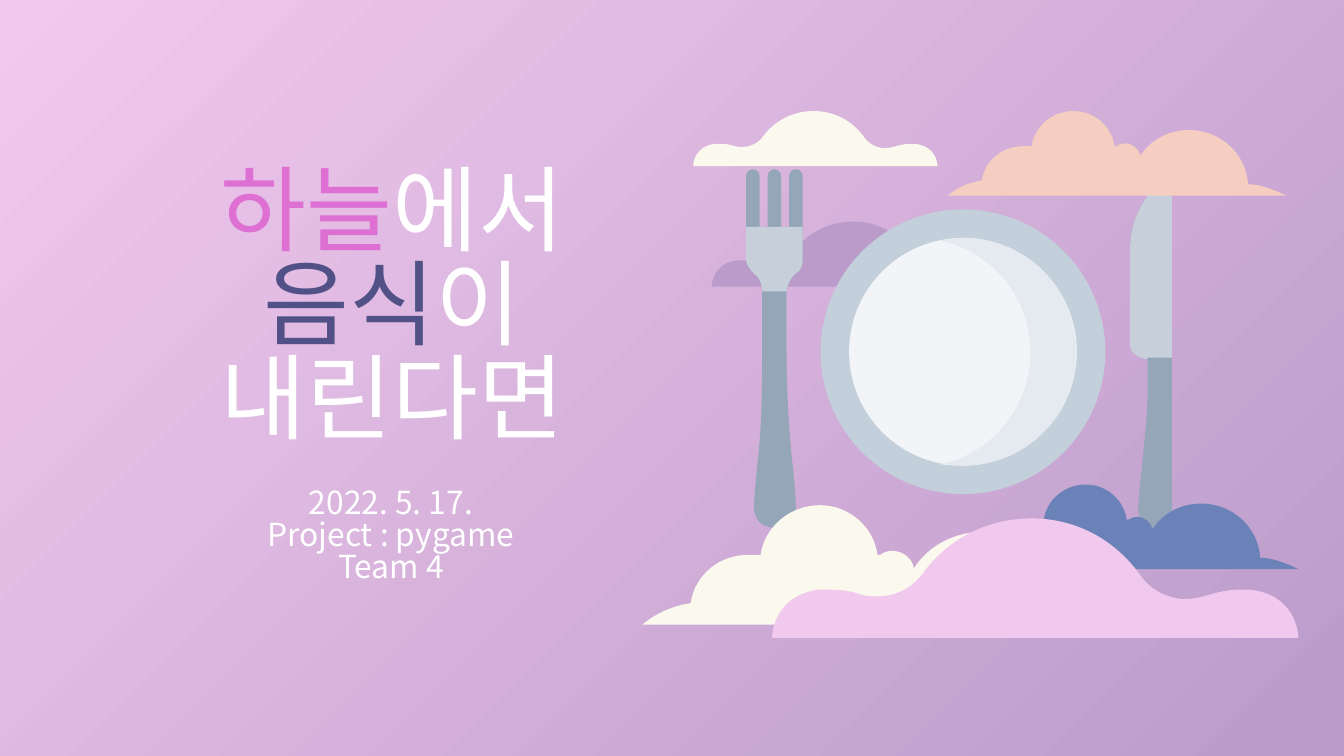
from dataclasses import dataclass
from lxml.etree import SubElement
from pptx import Presentation
from pptx.dml.color import RGBColor
from pptx.enum.shapes import MSO_SHAPE
from pptx.enum.text import MSO_ANCHOR, PP_ALIGN
from pptx.oxml.ns import qn
from pptx.util import Cm, Pt


@dataclass(frozen=True)
class Theme:
    font: str = "Noto Sans CJK KR"
    title_size: int = 50
    subtitle_size: int = 17
    line_spacing: float = 0.84
    white: str = "FFFFFF"
    magenta: str = "DD70D2"
    indigo: str = "515187"
    pink: str = "F2C9EE"
    mauve: str = "BA9BC9"
    cream: str = "FBF9ED"
    blue: str = "6B82B8"
    peach: str = "F5CEC1"
    steel: str = "95A6B8"
    silver: str = "C7D0DA"
    rim: str = "C3CFDA"
    plate: str = "F2F4F7"
    shade: str = "E4EAEF"


THEME = Theme()

# Outlines: (width, height), then a start point, lines (x, y)
# and curves (two control points and an end point)
DOME_CLOUD = ((391, 89), [
    (193, 0), (159, 0, 130, 16, 112, 41), (104, 52, 92, 58, 79, 58),
    (75, 58, 71, 58, 67, 57), (59, 54, 51, 53, 42, 53), (40, 53, 38, 53, 36, 53),
    (13, 55, 1, 71, 0, 89), (391, 89), (390, 71, 378, 55, 354, 53),
    (353, 53, 351, 53, 349, 53), (339, 53, 330, 55, 321, 58),
    (317, 59, 312, 60, 307, 60), (295, 60, 282, 54, 274, 43),
    (256, 17, 227, 0, 193, 0)])
LUMPY_CLOUD = ((355, 89), [
    (132, 0), (110, 0, 91, 16, 88, 37), (85, 37, 82, 37, 79, 37),
    (57, 37, 39, 52, 36, 73), (14, 76, 0, 89, 0, 89), (355, 89),
    (337, 80, 324, 77, 315, 77), (313, 45, 286, 20, 253, 20),
    (232, 20, 213, 30, 202, 47), (201, 40, 194, 34, 186, 34),
    (183, 34, 179, 35, 177, 37), (175, 37), (172, 16, 154, 0, 132, 0)])
FORK_LEFT = [(0, 0), (0, 24), (0, 28, 3, 32, 6, 35), (10, 37, 12, 44, 12, 48)]
FORK_RIGHT = [(30, 48), (31, 43, 33, 37, 38, 34), (41, 32, 42, 28, 42, 24), (42, 0)]
FORK_HEAD = ((42, 48), FORK_LEFT + FORK_RIGHT)
FORK_BODY = ((42, 225), FORK_LEFT + [
    (12, 84), (12, 113, 12, 143, 9, 172), (7, 189, 6, 205, 6, 208),
    (5, 217, 12, 224, 21, 224), (30, 224, 37, 217, 37, 208),
    (37, 205, 36, 189, 34, 172), (31, 143, 30, 113, 30, 84)] + FORK_RIGHT)
KNIFE_BACK = [(31, 0), (12, 12, 0, 33, 0, 55), (0, 129), (0, 133, 7, 138, 12, 138),
              (13, 138, 13, 138, 13, 137)]
KNIFE_BLADE = ((31, 137), KNIFE_BACK + [(31, 137)])
KNIFE_BODY = ((31, 265), KNIFE_BACK + [
    (13, 160), (13, 188, 6, 238, 6, 248), (6, 260, 11, 265, 18, 265),
    (26, 265, 31, 260, 31, 248)])
PLATE_SHADE = ((106, 169), [
    (17, 0), (11, 0, 5, 1, 0, 2), (39, 10, 67, 45, 67, 85),
    (67, 125, 39, 160, 0, 168), (5, 169, 11, 169, 17, 169),
    (64, 169, 101, 131, 101, 85), (101, 38, 64, 0, 17, 0)])


def paint(shape, color):
    shape.shadow.inherit = False
    shape.fill.solid()
    shape.fill.fore_color.rgb = RGBColor.from_string(color)
    shape.line.fill.background()


def add_outline(shapes, figure, box, color):
    """Scale an outline into a box given in centimetres."""
    (width, height), outline = figure
    left, top, box_width, box_height = box

    def place(x, y):
        return Cm(left + x * box_width / width), Cm(top + y * box_height / height)

    # Each segment holds the placed control points, if any, and its end point
    segments = [[place(*segment[i:i + 2]) for i in range(0, len(segment), 2)]
                for segment in outline]
    builder = shapes.build_freeform(*segments[0][0], scale=1.0)
    builder.add_line_segments([segment[-1] for segment in segments[1:]], close=True)
    shape = builder.convert_to_shape()

    # Bend the segments that have control points
    for line, segment in zip(shape.element.xpath(".//a:lnTo"), segments[1:]):
        if len(segment) == 1:
            continue
        curve = line.makeelement(qn("a:cubicBezTo"))
        for x, y in segment:
            SubElement(curve, qn("a:pt"), x=str(x - shape.left), y=str(y - shape.top))
        line.getparent().replace(line, curve)
    paint(shape, color)


def add_preset(shapes, kind, box, color):
    shape = shapes.add_shape(kind, *map(Cm, box))
    paint(shape, color)
    return shape


def add_fork(shapes, box):
    left, top, width, height = box
    tine_width, tine_height = 0.24 * width, 0.18 * height
    for column in range(3):
        tine = (left + column * (width - tine_width) / 2, top, tine_width, tine_height)
        add_preset(shapes, MSO_SHAPE.ROUNDED_RECTANGLE, tine, THEME.steel).adjustments[0] = 0.5
    body_top, body_height = top + 0.16 * height, 0.84 * height
    add_outline(shapes, FORK_BODY, (left, body_top, width, body_height), THEME.steel)
    add_outline(shapes, FORK_HEAD, (left, body_top, width, body_height * 48 / 225), THEME.silver)


def add_plate(shapes, box):
    left, top, size, _ = box
    inset = size / 10
    inner = size - 2 * inset
    add_preset(shapes, MSO_SHAPE.OVAL, box, THEME.rim)
    add_preset(shapes, MSO_SHAPE.OVAL, (left + inset, top + inset, inner, inner), THEME.plate)
    add_outline(shapes, PLATE_SHADE,
                (left + 0.42 * size, top + inset, inner * 106 / 169, inner), THEME.shade)


def add_knife(shapes, box):
    left, top, width, height = box
    add_outline(shapes, KNIFE_BODY, box, THEME.steel)
    add_outline(shapes, KNIFE_BLADE, (left, top, width, height * 137 / 265), THEME.silver)


def add_text(slide, box, paragraphs, size, anchor):
    """Each paragraph is a list of (text, color) runs; None is a line break."""
    frame = slide.shapes.add_textbox(*map(Cm, box)).text_frame
    frame_format = {"word_wrap": True, "vertical_anchor": anchor}
    frame_format.update({f"margin_{side}": Cm(0.25) for side in ("left", "top", "right", "bottom")})
    for name, value in frame_format.items():
        setattr(frame, name, value)
    for index, runs in enumerate(paragraphs):
        paragraph = frame.add_paragraph() if index else frame.paragraphs[0]
        paragraph_format = {"alignment": PP_ALIGN.CENTER, "line_spacing": THEME.line_spacing}
        for name, value in paragraph_format.items():
            setattr(paragraph, name, value)
        for item in runs:
            if item is None:
                paragraph.add_line_break()
                continue
            run = paragraph.add_run()
            run.text, color = item
            for name, value in {"name": THEME.font, "size": Pt(size)}.items():
                setattr(run.font, name, value)
            run.font.color.rgb = RGBColor.from_string(color)


def set_background(slide):
    fill = slide.background.fill
    fill.gradient()
    fill.gradient_angle = 315
    for stop, color, position in zip(fill.gradient_stops, (THEME.pink, THEME.mauve), (0, 1)):
        stop.color.rgb = RGBColor.from_string(color)
        stop.position = position


def build_cover(slide):
    set_background(slide)

    # Cloud behind the tableware
    add_outline(slide.shapes, DOME_CLOUD, (13.45, 4.19, 5.42, 1.23), THEME.mauve)

    # Tableware
    tableware = slide.shapes.add_group_shape().shapes
    add_fork(tableware, (14.1, 3.2, 1.07, 6.8))
    add_plate(tableware, (15.51, 3.96, 5.38, 5.38))
    add_knife(tableware, (21.36, 3.28, 0.79, 6.73))

    # Clouds in front
    for figure, box, color in (
        (LUMPY_CLOUD, (18.14, 9.16, 6.4, 1.6), THEME.blue),
        (LUMPY_CLOUD, (12.14, 9.55, 9.02, 2.26), THEME.cream),
        (DOME_CLOUD, (14.59, 9.8, 9.95, 2.26), THEME.pink),
        (DOME_CLOUD, (13.1, 2.1, 4.62, 1.04), THEME.cream),
        (LUMPY_CLOUD, (17.91, 2.1, 6.4, 1.6), THEME.peach),
    ):
        add_outline(slide.shapes, figure, box, color)

    # Title and subtitle
    add_text(slide, (2.06, 1.83, 10.72, 6.96),
             [[("하늘", THEME.magenta), ("에서", THEME.white), None,
               ("음식", THEME.indigo), ("이 내린다면", THEME.white)]],
             THEME.title_size, MSO_ANCHOR.BOTTOM)
    add_text(slide, (0.99, 8.99, 12.8, 2.82),
             [[(line, THEME.white)] for line in ("2022. 5. 17.", "Project : pygame", "Team 4")],
             THEME.subtitle_size, MSO_ANCHOR.TOP)


def main():
    presentation = Presentation()
    presentation.slide_width, presentation.slide_height = Cm(25.4), Cm(14.29)
    build_cover(presentation.slides.add_slide(presentation.slide_layouts[6]))
    presentation.save("out.pptx")


if __name__ == "__main__":
    main()
